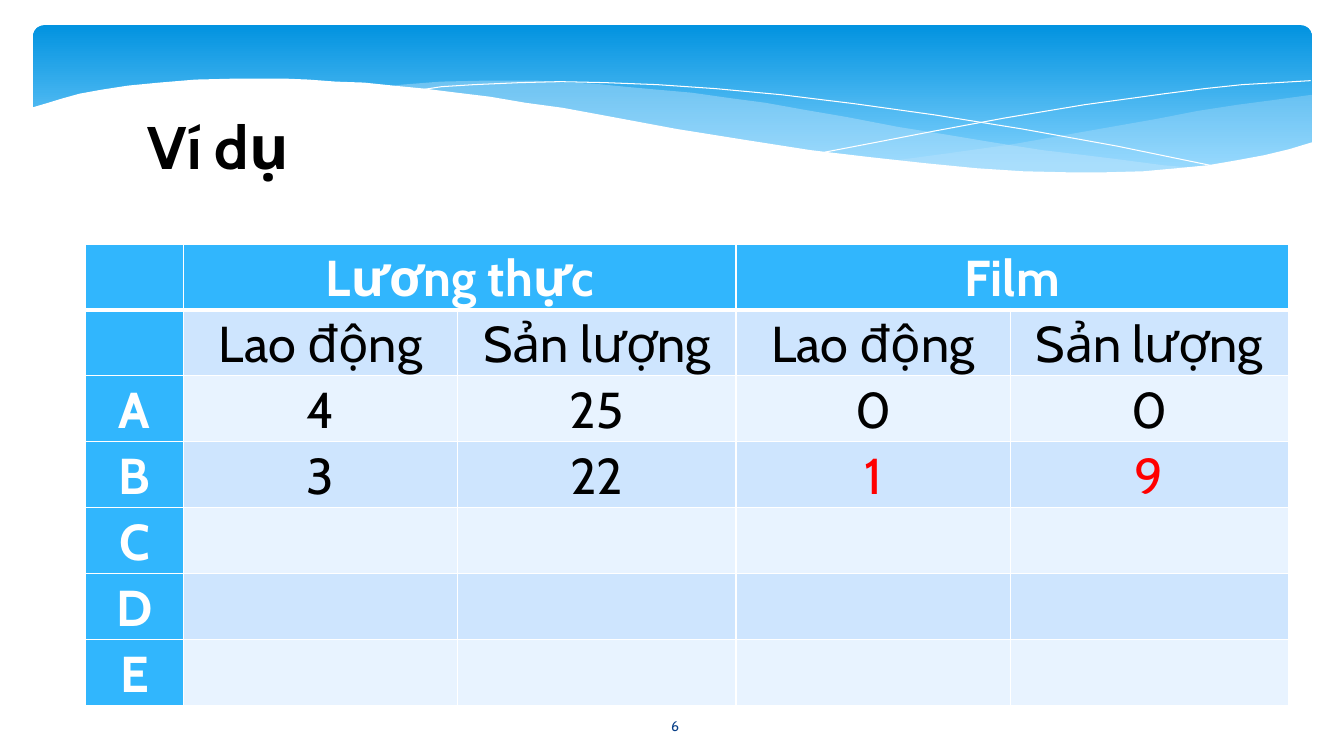
from lxml import etree
from pptx import Presentation
from pptx.dml.color import RGBColor
from pptx.enum.shapes import MSO_SHAPE
from pptx.enum.text import MSO_ANCHOR, PP_ALIGN
from pptx.oxml.ns import qn
from pptx.util import Inches, Pt

ROUNDED = MSO_SHAPE.ROUNDED_RECTANGLE
CENTER = PP_ALIGN.CENTER
TOP, MIDDLE = MSO_ANCHOR.TOP, MSO_ANCHOR.MIDDLE
FONT = "Cabin"
WHITE, BLACK, RED, NAVY = "FFFFFF", "000000", "FF0000", "073E87"
HEADER_BLUE, BAND_DARK, BAND_LIGHT = "31B6FD", "CEE5FE", "E8F3FF"
PALE_BLUE = "C6E7FC"

# Outlines of the banner, in inches
RIGHT_WAVE = [
    (13.01, 0.94), (12.65, 0.99), (12.27, 1.04), (11.88, 1.1), (11.47, 1.18),
    (10.73, 1.31), (10.05, 1.43), (9.41, 1.52), (8.82, 1.6), (9.21, 1.64),
    (9.58, 1.67), (9.93, 1.69), (10.25, 1.71), (10.71, 1.72), (11.13, 1.72),
    (11.51, 1.7), (11.86, 1.66), (12.18, 1.62), (12.47, 1.56), (12.66, 1.52),
    (13.01, 1.42)]
MIDDLE_WAVE = [
    (11.9, 1.67), (11.54, 1.64), (11.16, 1.59), (10.76, 1.54), (10.34, 1.49),
    (9.89, 1.42), (9.41, 1.34), (8.91, 1.26), (8.39, 1.16), (7.98, 1.09),
    (7.59, 1.02), (7.21, 0.97), (6.86, 0.92), (6.52, 0.89), (6.19, 0.86),
    (5.89, 0.83), (5.6, 0.82), (5.32, 0.8), (4.82, 0.8), (4.37, 0.81),
    (3.99, 0.84), (3.82, 0.86), (4.31, 0.9), (4.83, 0.97), (5.39, 1.06),
    (5.99, 1.16), (6.54, 1.26), (7.06, 1.35), (7.55, 1.43), (8.02, 1.5),
    (8.46, 1.56), (8.87, 1.61), (9.26, 1.65), (9.63, 1.68), (9.98, 1.7),
    (10.3, 1.72), (10.76, 1.73), (11.18, 1.72), (11.56, 1.7)]
FALLING_LINE = [
    (4.12, 0.9), (4.38, 0.86), (4.7, 0.84), (5.16, 0.82), (5.55, 0.81),
    (6, 0.82), (6.52, 0.84), (7.1, 0.88), (7.75, 0.94), (8.48, 1.03),
    (9.27, 1.14), (10.14, 1.28), (11.08, 1.45), (12.1, 1.66)]
RISING_LINE = [
    (8.18, 1.51), (8.7, 1.41), (9.27, 1.3), (9.97, 1.17), (10.75, 1.04),
    (11.55, 0.93), (11.94, 0.88), (12.32, 0.84), (12.67, 0.82), (13, 0.8)]
WHITE_WAVE = [
    (13.02, 1.41), (12.79, 1.48), (12.54, 1.54), (12.27, 1.59), (11.98, 1.64),
    (11.67, 1.67), (11.34, 1.7), (10.97, 1.71), (10.58, 1.71), (10.15, 1.7),
    (9.69, 1.67), (9.18, 1.62), (8.63, 1.56), (8.04, 1.49), (7.4, 1.39),
    (6.71, 1.28), (5.96, 1.14), (5.58, 1.07), (5.21, 1.02), (4.86, 0.96),
    (4.53, 0.92), (4.21, 0.88), (3.9, 0.85), (3.61, 0.82), (3.33, 0.81),
    (3.06, 0.79), (2.82, 0.78), (2.35, 0.78), (1.94, 0.79), (1.58, 0.82),
    (1.27, 0.85), (1.01, 0.89), (0.79, 0.93), (0.61, 0.98), (0.48, 1.02),
    (0.31, 1.07), (0.31, 2.24), (13.03, 2.24), (13.03, 1.4)]

# Table contents
COLUMN_WIDTHS = [0.97, 2.72, 2.76, 2.72, 2.76]
TABLE_ROWS = [
    ["", "Lương thực", "", "Film", ""],
    ["", "Lao động", "Sản lượng", "Lao động", "Sản lượng"],
    ["A", "4", "25", "0", "0"],
    ["B", "3", "22", "1", "9"],
    ["C", "", "", "", ""],
    ["D", "", "", "", ""],
    ["E", "", "", "", ""],
]
RED_CELLS = {(3, 3), (3, 4)}


def rgb(color):
    return RGBColor.from_string(color)


def set_fill(fill, color):
    fill.solid()
    fill.fore_color.rgb = rgb(color)


def style_text(frame, size, color, bold=False):
    para = frame.paragraphs[0]
    para.alignment = CENTER
    for span in para.runs:
        span.font.name = FONT
        span.font.size = Pt(size)
        span.font.bold = bold
        span.font.color.rgb = rgb(color)
    return para


def add_text(page, text, left, top, width, height, size, color, bold=False, anchor=TOP):
    box = page.shapes.add_textbox(Inches(left), Inches(top), Inches(width), Inches(height))
    frame = box.text_frame
    frame.word_wrap = True
    frame.vertical_anchor = anchor
    frame.text = text
    style_text(frame, size, color, bold)


def add_outline(page, points, closed):
    corners = [(Inches(x), Inches(y)) for x, y in points]
    builder = page.shapes.build_freeform(*corners[0])
    builder.add_line_segments(corners[1:], close=closed)
    shape = builder.convert_to_shape()
    shape.shadow.inherit = False
    return shape


def add_wave(page, points, color, opacity=100):
    wave = add_outline(page, points, True)
    set_fill(wave.fill, color)
    wave.line.fill.background()
    if opacity < 100:
        tint = wave.fill._xPr.find(qn("a:solidFill"))[0]
        etree.SubElement(tint, qn("a:alpha"), val=str(opacity * 1000))


def add_curve(page, points):
    curve = add_outline(page, points, False)
    curve.fill.background()
    curve.line.color.rgb = rgb(WHITE)
    curve.line.width = Pt(0)


def add_banner(page):
    banner = page.shapes.add_shape(ROUNDED, Inches(0.33), Inches(0.25), Inches(12.68), Inches(1.56))
    banner.adjustments[0] = 0.07
    banner.shadow.inherit = False
    banner.line.fill.background()
    banner.fill.gradient()
    banner.fill.gradient_angle = 270
    stops = [(0, "0293E0"), (0.9, "83D3FE")]
    for stop, (position, color) in zip(banner.fill.gradient_stops, stops):
        stop.position = position
        stop.color.rgb = rgb(color)
    add_wave(page, RIGHT_WAVE, PALE_BLUE, 29)
    add_wave(page, MIDDLE_WAVE, PALE_BLUE, 40)
    add_curve(page, FALLING_LINE)
    add_curve(page, RISING_LINE)
    add_wave(page, WHITE_WAVE, WHITE)


def add_borders(cell, widths):
    properties = cell._tc.get_or_add_tcPr()
    for side, width in zip("LRTB", widths):
        border = etree.SubElement(properties, qn(f"a:ln{side}"), w=str(Pt(width)))
        paint = etree.SubElement(border, qn("a:solidFill"))
        etree.SubElement(paint, qn("a:srgbClr"), val=WHITE)


def style_cell(cell, row, column, text):
    heading = row == 0 or column == 0
    # Thick rule between the header row and the body
    add_borders(cell, (1, 1, 3 if row == 1 else 1, 3 if row == 0 else 1))
    band = BAND_DARK if row % 2 else BAND_LIGHT
    set_fill(cell.fill, HEADER_BLUE if heading else band)
    cell.margin_left = cell.margin_right = Inches(0.07)
    cell.margin_top = cell.margin_bottom = 0
    if text:
        cell.text_frame.text = text
        body_color = RED if (row, column) in RED_CELLS else BLACK
        para = style_text(cell.text_frame, 36, WHITE if heading else body_color, heading)
        para.line_spacing = 1.07
        para.space_after = Pt(8)


def add_output_table(page):
    frame = page.shapes.add_table(len(TABLE_ROWS), len(COLUMN_WIDTHS), Inches(0.85), Inches(2.42),
                                  Inches(sum(COLUMN_WIDTHS)), Inches(4.58))
    table = frame.table
    for column, width in zip(table.columns, COLUMN_WIDTHS):
        column.width = Inches(width)
    for row, texts in enumerate(TABLE_ROWS):
        for column, text in enumerate(texts):
            style_cell(table.cell(row, column), row, column, text)
    for first in (1, 3):
        table.cell(0, first).merge(table.cell(0, first + 1))


def main():
    deck = Presentation()
    deck.slide_width, deck.slide_height = Inches(13.33), Inches(7.5)
    page = deck.slides.add_slide(deck.slide_layouts[6])
    add_banner(page)
    add_text(page, "6", 5.85, 7, 1.69, 0.4, 10, NAVY, anchor=MIDDLE)
    add_text(page, "Ví dụ", 0.04, 1.04, 4.25, 1.37, 42.9, BLACK, bold=True)
    add_output_table(page)
    deck.save("out.pptx")


if __name__ == "__main__":
    main()
